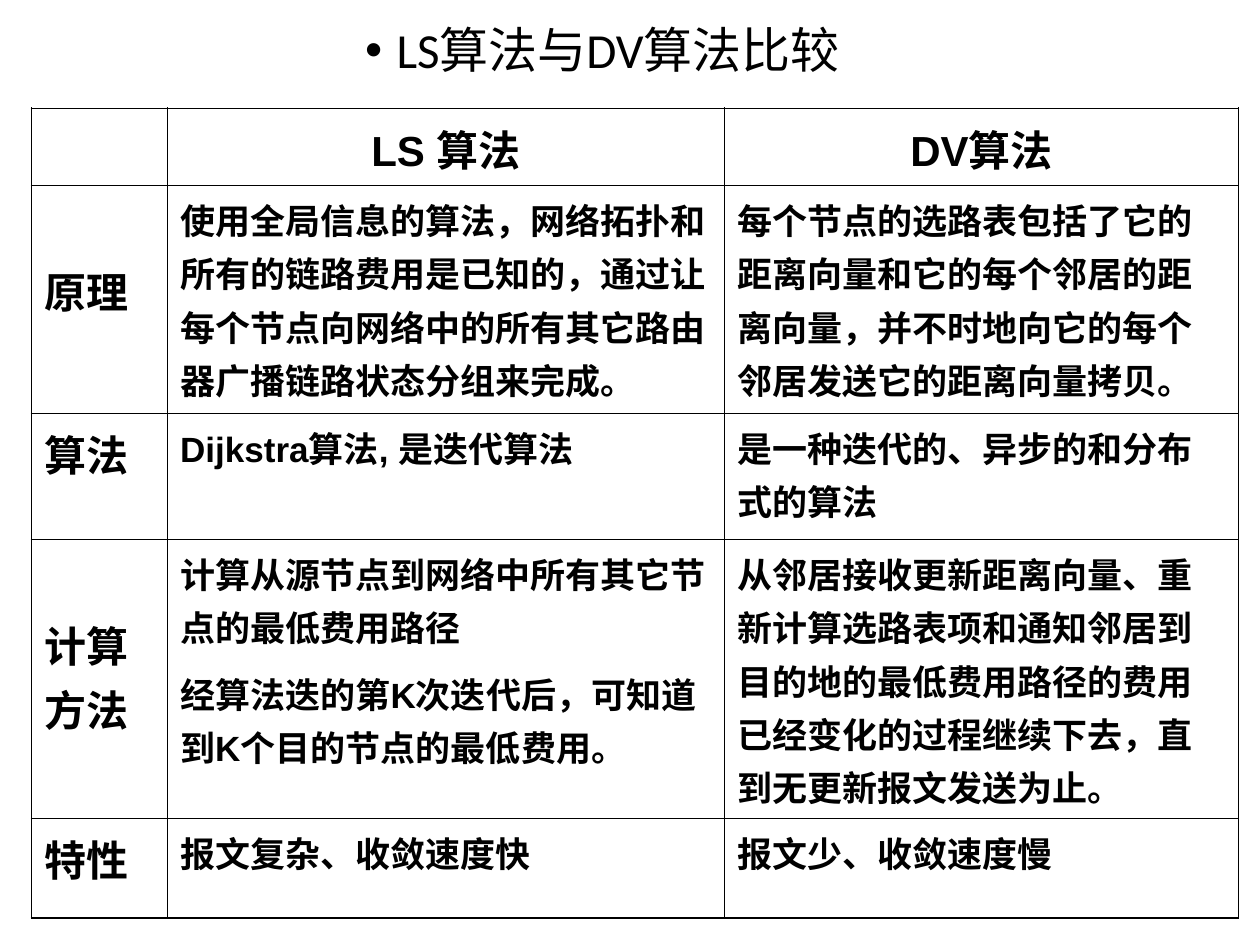
from pptx import Presentation
from pptx.dml.color import RGBColor
from pptx.enum.text import MSO_ANCHOR, MSO_AUTO_SIZE, PP_ALIGN
from pptx.oxml.ns import qn
from pptx.util import Inches, Pt
from lxml import etree

LEFT, MID = PP_ALIGN.LEFT, PP_ALIGN.CENTER
TOP = MSO_ANCHOR.TOP
NO_FIT = MSO_AUTO_SIZE.NONE
TITLE_ONLY = 5

COLORS = {"ink": "000000"}
THIN, THICK = 0.45, 1.08
COLS = [1.08, 4.42, 4.08]
ROWS = [0.57, 1.81, 1, 2, 0.79]
LOW = 0.57  # top margin of the labels that sit lower in tall rows

# Each cell is a list of paragraphs
CELLS = [
    [[], ["LS 算法"], ["DV算法"]],
    [["原理"],
     ["使用全局信息的算法，网络拓扑和所有的链路费用是已知的，"
      "通过让每个节点向网络中的所有其它路由器广播链路状态分组来完成。"],
     ["每个节点的选路表包括了它的距离向量和它的每个邻居的距离向量，"
      "并不时地向它的每个邻居发送它的距离向量拷贝。"]],
    [["算法"],
     ["Dijkstra算法, 是迭代算法"],
     ["是一种迭代的、异步的和分布式的算法"]],
    [["计算方法"],
     ["计算从源节点到网络中所有其它节点的最低费用路径",
      "经算法迭的第K次迭代后，可知道到K个目的节点的最低费用。"],
     ["从邻居接收更新距离向量、重新计算选路表项和通知邻居到目的地的"
      "最低费用路径的费用已经变化的过程继续下去，直到无更新报文发送为止。"]],
    [["特性"], ["报文复杂、收敛速度快"], ["报文少、收敛速度慢"]],
]


def add_text(frame, lines, size, font, bold=False, align=LEFT,
             space=1.05, gap=0, bullet=None):
    frame.word_wrap = True
    for i, line in enumerate(lines):
        par = frame.add_paragraph() if i else frame.paragraphs[0]
        par.alignment = align
        par.line_spacing = space
        par.space_before = Pt(gap if i else 0)
        if bullet:
            props = par._p.get_or_add_pPr()
            props.set("marL", str(Inches(0.25)))
            props.set("indent", str(Inches(-0.25)))
            etree.SubElement(props, qn("a:buFont")).set("typeface", "Arial")
            etree.SubElement(props, qn("a:buChar")).set("char", bullet)
        run = par.add_run()
        run.text = line
        run.font.size = Pt(size)
        run.font.name = font
        run.font.bold = bold
        run.font.color.rgb = RGBColor.from_string(COLORS["ink"])


def set_edges(cell, widths):
    props = cell._tc.get_or_add_tcPr()
    for i, (side, width) in enumerate(widths.items()):
        line = etree.Element(qn("a:ln" + side), w=str(Pt(width)))
        fill = etree.SubElement(line, qn("a:solidFill"))
        etree.SubElement(fill, qn("a:srgbClr")).set("val", COLORS["ink"])
        props.insert(i, line)


def add_title(slide):
    title = slide.shapes.title
    title.left, title.top = Inches(2.49), Inches(0.16)
    title.width, title.height = Inches(4.58), Inches(0.67)
    frame = title.text_frame
    frame.auto_size = NO_FIT
    frame.vertical_anchor = TOP
    add_text(frame, ["LS算法与DV算法比较"], 28, "Calibri",
             align=MID, space=0.9, bullet="•")


def add_grid(slide):
    table = slide.shapes.add_table(
        len(ROWS), len(COLS), Inches(0.25), Inches(0.86),
        Inches(sum(COLS)), Inches(sum(ROWS))).table
    table.first_row = table.horz_banding = False
    for col, width in zip(table.columns, COLS):
        col.width = Inches(width)
    for row, height in zip(table.rows, ROWS):
        row.height = Inches(height)

    last_row, last_col = len(ROWS) - 1, len(COLS) - 1
    for r, row in enumerate(CELLS):
        for c, lines in enumerate(row):
            cell = table.cell(r, c)
            cell.fill.background()
            cell.vertical_anchor = TOP
            # Heavy lines run round the outside only
            outer = {"L": c == 0, "R": c == last_col,
                     "T": r == 0, "B": r == last_row}
            set_edges(cell, {side: THICK if out else THIN
                             for side, out in outer.items()})
            if c == 0 and r in (1, 3):
                cell.margin_top = Inches(LOW)
            head = r == 0 or c == 0
            add_text(cell.text_frame, lines, 24 if head else 20, "Arial",
                     bold=True, align=MID if r == 0 else LEFT, gap=7.5)


def main():
    deck = Presentation()
    deck.slide_width, deck.slide_height = Inches(10), Inches(7.5)
    slide = deck.slides.add_slide(deck.slide_layouts[TITLE_ONLY])
    add_title(slide)
    add_grid(slide)
    deck.save("out.pptx")


if __name__ == "__main__":
    main()
